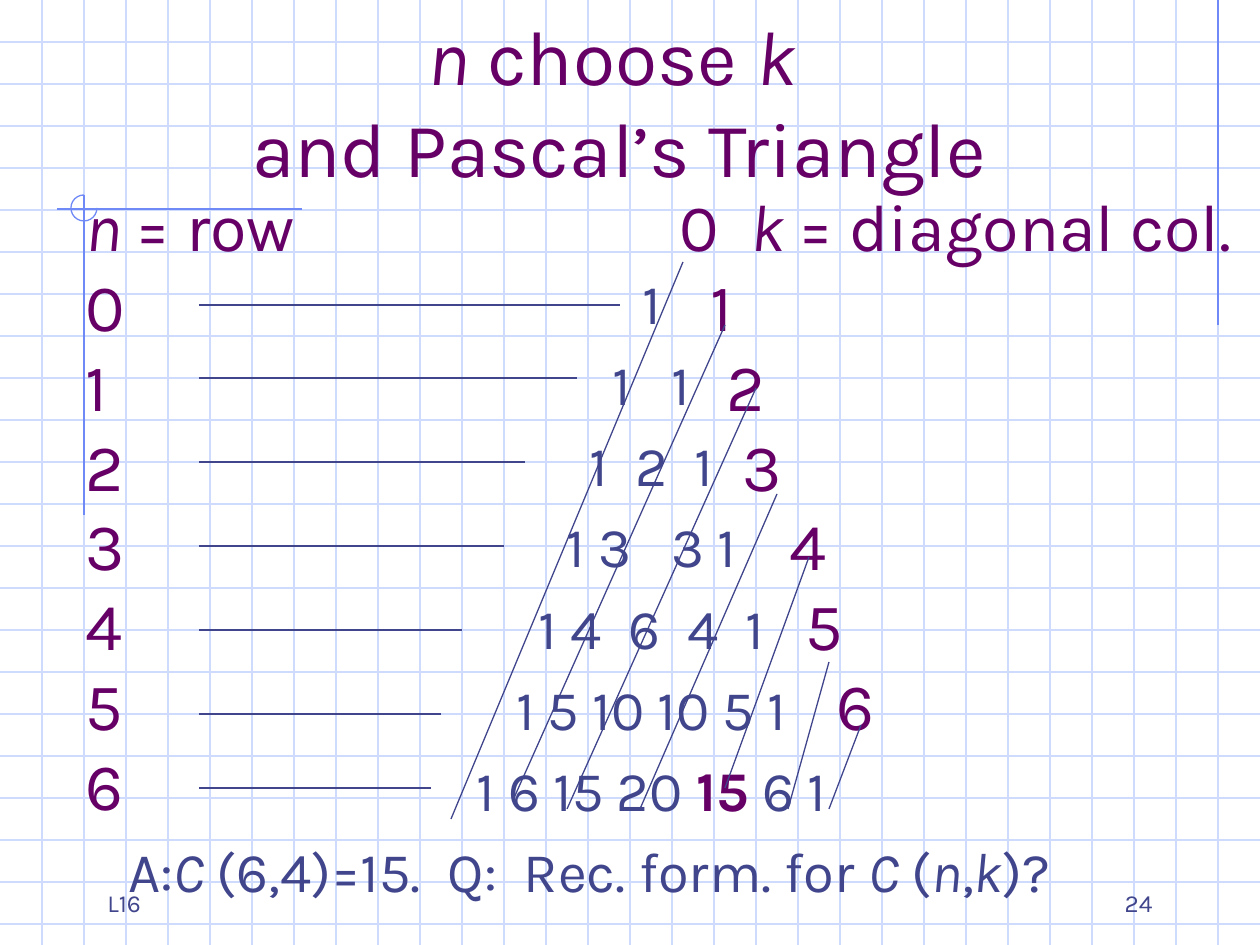
from dataclasses import dataclass
from math import comb
from typing import NamedTuple, Sequence

from lxml.etree import SubElement
from pptx import Presentation
from pptx.dml.color import RGBColor
from pptx.enum.shapes import MSO_CONNECTOR, MSO_SHAPE
from pptx.enum.text import MSO_ANCHOR, PP_ALIGN
from pptx.oxml.ns import qn
from pptx.util import Emu, Pt

PX = 914400 / 126
WIDTH, HEIGHT, GRID = 1260, 945, 42
FONT = "Karla"
SPACE_EM = 0.24  # width of a space in this font
PURPLE, INDIGO, PALE, BLUE = "660066", "40458C", "CFDBFD", "6F89F7"


class Run(NamedTuple):
    text: str
    italic: bool = False
    bold: bool = False
    color: str = ""
    widen: int = 0  # extra space widths after each character


@dataclass
class Line:
    runs: Sequence[Run]
    start: int = 0  # first-line indent


class Stroke(NamedTuple):
    x1: int
    y1: int
    x2: int
    y2: int


def px(length: float) -> Emu:
    return Emu(round(length * PX))


def rgb(color: str) -> RGBColor:
    return RGBColor.from_string(color)


def add_stroke(slide, stroke: Stroke, color: str) -> None:
    connector = slide.shapes.add_connector(
        MSO_CONNECTOR.STRAIGHT, *(px(value) for value in stroke))
    connector.line.color.rgb = rgb(color)
    connector.line.width = Pt(0.75)
    SubElement(connector._element.spPr, qn("a:effectLst"))


def add_text(slide, lines: Sequence[Line], *, box: tuple, size: int, color: str,
             align=PP_ALIGN.LEFT, anchor=MSO_ANCHOR.TOP, gap: int = 0) -> None:
    frame = slide.shapes.add_textbox(*(px(value) for value in box)).text_frame
    frame.word_wrap = True
    frame.vertical_anchor = anchor
    for number, line in enumerate(lines):
        paragraph = frame.add_paragraph() if number else frame.paragraphs[0]
        paragraph.alignment = line_align(line, align)
        if number and gap:
            paragraph.space_before = Pt(gap)
        if line.start:
            paragraph._p.get_or_add_pPr().set("indent", str(px(line.start)))
        for part in line.runs:
            if part.text == "\n":
                paragraph.add_line_break()
                continue
            run = paragraph.add_run()
            run.text = part.text
            run.font.name = FONT
            run.font.size = Pt(size)
            run.font.italic = part.italic
            run.font.bold = part.bold
            run.font.color.rgb = rgb(part.color or color)
            if part.widen:
                spacing = round(part.widen * SPACE_EM * size * 100)
                run._r.get_or_add_rPr().set("spc", str(spacing))


def line_align(line: Line, default):
    return PP_ALIGN.LEFT if isinstance(line, LeftLine) else default


class LeftLine(Line):
    """A line that stays left in a centred box."""


def triangle_row(n: int) -> Line:
    """One row of binomials, with C(6,4) picked out."""
    gaps = ROW_GAPS.get(n, (1,) * n)
    runs = []
    for k in range(n + 1):
        if k:
            runs.append(Run(" ", widen=gaps[k - 1] - 1))
        picked = (n, k) == (6, 4)
        runs.append(Run(str(comb(n, k)), bold=picked, color=PURPLE if picked else ""))
    return Line(runs)


# Gaps between numbers in space widths (one if not listed), leaders and diagonals
ROW_GAPS = {1: (3,), 2: (2, 2), 3: (1, 3, 1), 4: (1, 2, 2, 2)}
LEADERS = [Stroke(199, y, x, y) for x, y in (
    (620, 305), (577, 378), (525, 462), (504, 546), (462, 630), (441, 714), (431, 788))]
DIAGONALS = [
    Stroke(451, 819, 683, 262),
    Stroke(514, 798, 725, 325),
    Stroke(567, 809, 756, 388),
    Stroke(640, 809, 777, 494),
    Stroke(725, 788, 809, 557),
    Stroke(788, 809, 829, 662),
    Stroke(829, 809, 861, 725),
]
DIAGONAL_INDENTS = [47, 63, 79, 126, 142, 173]  # labels 1 to 6


def main() -> None:
    deck = Presentation()
    deck.slide_width, deck.slide_height = px(WIDTH), px(HEIGHT)
    slide = deck.slides.add_slide(deck.slide_layouts[6])

    # Graph paper
    for y in range(GRID, HEIGHT, GRID):
        add_stroke(slide, Stroke(0, y, WIDTH, y), PALE)
    for x in range(GRID, WIDTH, GRID):
        add_stroke(slide, Stroke(x, 0, x, HEIGHT), PALE)

    # Margin rules and the three-quarter circle
    for rule in (Stroke(1218, 0, 1218, 325), Stroke(302, 209, 57, 209),
                 Stroke(84, 195, 84, 515)):
        add_stroke(slide, rule, BLUE)
    circle = slide.shapes.add_shape(MSO_SHAPE.ARC, px(71), px(195), px(26), px(26))
    circle.adjustments[0] = 0
    circle.adjustments[1] = 162  # 270 degrees
    circle.fill.background()
    circle.line.color.rgb = rgb(BLUE)
    circle.line.width = Pt(0.75)
    circle.shadow.inherit = False

    # Title
    title = Line([Run("n", italic=True), Run(" choose "), Run("k ", italic=True),
                  Run("\n"), Run("and Pascal’s Triangle")])
    add_text(slide, [title], box=(84, 42, 1071, 157), size=44, color=PURPLE,
             align=PP_ALIGN.CENTER, anchor=MSO_ANCHOR.BOTTOM)

    # Triangle and question
    wide_space = Run(" ", widen=1)
    question = LeftLine([
        Run("A:"), Run("C ", italic=True), Run("(6,4)=15."), wide_space, Run("Q:"),
        wide_space, Run("Rec. form. for "), Run("C ", italic=True), Run("("),
        Run("n", italic=True), Run(","), Run("k", italic=True), Run(")?")])
    rows = [triangle_row(n) for n in range(7)]
    add_text(slide, rows + [question], box=(116, 262, 1071, 651), size=32,
             color=INDIGO, align=PP_ALIGN.CENTER, gap=8)

    # Row numbers with leaders
    row_labels = [Line([Run("n ", italic=True), Run("= row")])]
    row_labels += [Line([Run(str(n))]) for n in range(7)]
    add_text(slide, row_labels, box=(73, 179, 284, 651), size=38, color=PURPLE)
    for leader in LEADERS:
        add_stroke(slide, leader, INDIGO)

    # Diagonal numbers with lines
    diagonal_labels = [Line([Run("0"), wide_space, Run("k ", italic=True),
                             Run("= diagonal col.")], 16)]
    diagonal_labels += [Line([Run(str(k))], indent)
                        for k, indent in enumerate(DIAGONAL_INDENTS, 1)]
    add_text(slide, diagonal_labels, box=(651, 179, 651, 572), size=38, color=PURPLE)
    for diagonal in DIAGONALS:
        add_stroke(slide, diagonal, INDIGO)

    # Footer
    for label, left, align in (("24", 903, PP_ALIGN.RIGHT), ("L16", 95, PP_ALIGN.LEFT)):
        add_text(slide, [Line([Run(label)])], box=(left, 861, 262, 63), size=14,
                 color=INDIGO, align=align, anchor=MSO_ANCHOR.BOTTOM)

    deck.save("out.pptx")


if __name__ == "__main__":
    main()
